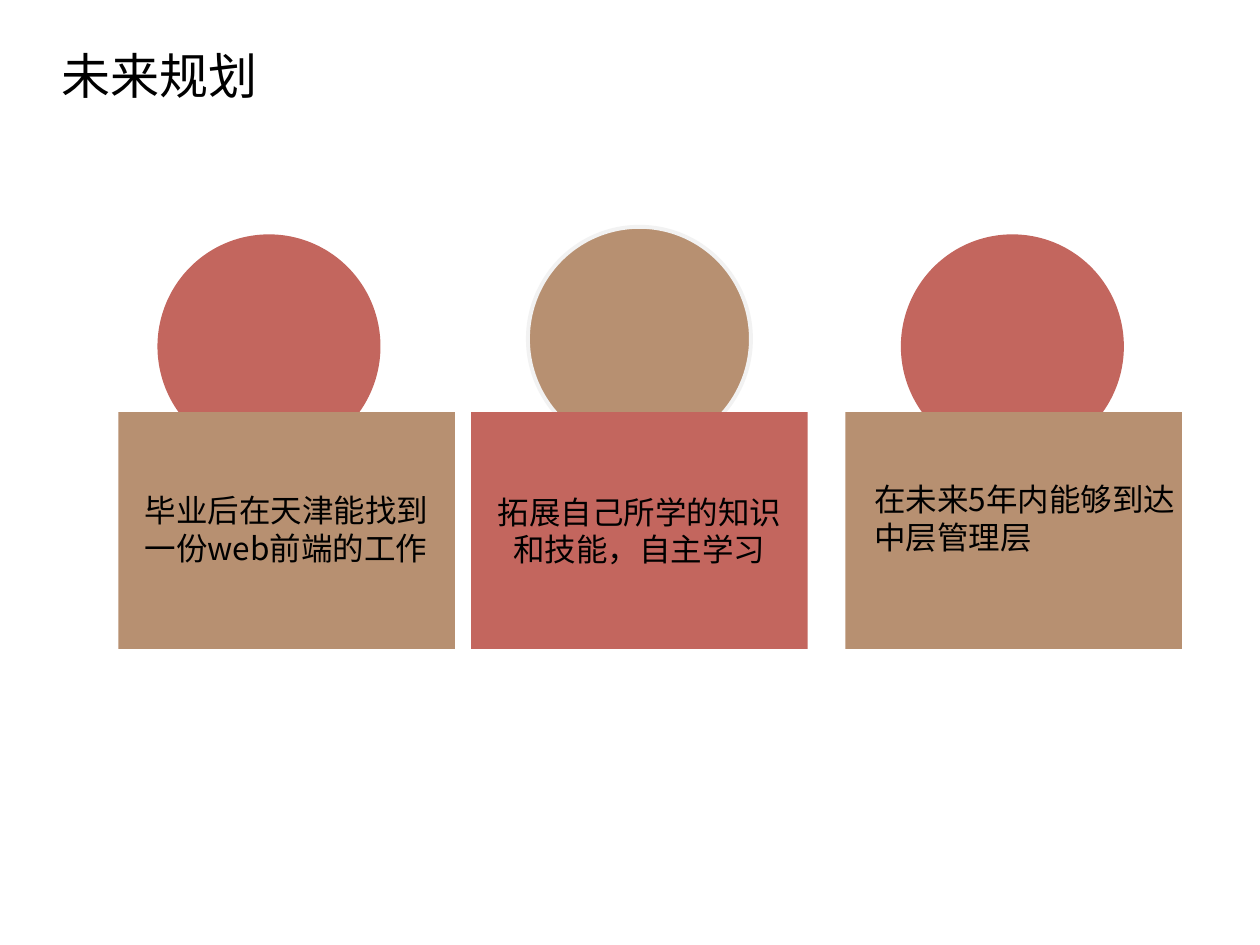
from lxml.etree import SubElement
from pptx import Presentation
from pptx.dml.color import RGBColor
from pptx.enum.shapes import MSO_SHAPE as Shape
from pptx.enum.text import MSO_ANCHOR as Anchor, MSO_AUTO_SIZE as AutoSize, PP_ALIGN as Align
from pptx.oxml.ns import qn
from pptx.util import Inches, Pt

RED, TAN, PALE, BLACK = "C3665E", "B79071", "F2F2F2", "000000"


def color(value):
    return RGBColor.from_string(value)


class PlanSlide:
    """Holds the text style and the page being built."""
    font = "Noto Sans CJK SC"
    body_size = 18
    title_size = 28

    def __init__(self, deck):
        self.page = deck.slides.add_slide(deck.slide_layouts[5])

    def fill_text(self, box, lines, size, align=Align.LEFT, **frame_format):
        frame = box.text_frame
        for name, value in frame_format.items():
            setattr(frame, name, value)
        for index, line in enumerate(lines):
            para = frame.paragraphs[0] if index == 0 else frame.add_paragraph()
            para.alignment = align
            span = para.add_run()
            span.text = line
            span.font.color.rgb = color(BLACK)
            for name, value in {"size": Pt(size), "name": self.font}.items():
                setattr(span.font, name, value)
            # East Asian typeface
            SubElement(span._r.get_or_add_rPr(), qn("a:ea"), typeface=self.font)

    def title(self, text, *area):
        box = self.page.shapes.title
        box.left, box.top, box.width, box.height = map(Inches, area)
        self.fill_text(box, [text], self.title_size, word_wrap=False,
                       auto_size=AutoSize.SHAPE_TO_FIT_TEXT, vertical_anchor=Anchor.TOP)

    def shape(self, kind, area, fill, line=None):
        shape = self.page.shapes.add_shape(kind, *map(Inches, area))
        shape.shadow.inherit = False
        shape.fill.solid()
        shape.fill.fore_color.rgb = color(fill)
        if line:
            shape.line.color.rgb = color(line)
            shape.line.width = Pt(2.25)
        else:
            shape.line.fill.background()
        return shape

    def text(self, lines, *area):
        box = self.page.shapes.add_textbox(*map(Inches, area))
        self.fill_text(box, lines, self.body_size, word_wrap=True,
                       auto_size=AutoSize.SHAPE_TO_FIT_TEXT)


def main():
    deck = Presentation()
    deck.slide_width, deck.slide_height = Inches(10), Inches(7.5)
    plan = PlanSlide(deck)
    plan.title("未来规划", 0.39, 0.31, 1.76, 0.57)

    # Three plans: a circle partly covered by its card
    columns = [
        (1.25, 1.86, RED, None, 0.94, TAN),
        (4.19, 1.8, TAN, PALE, 3.74, RED),
        (7.15, 1.86, RED, None, 6.71, TAN),
    ]
    cards = []
    for circle_left, circle_top, circle_fill, outline, card_left, card_fill in columns:
        plan.shape(Shape.OVAL, (circle_left, circle_top, 1.77, 1.78), circle_fill, outline)
        cards.append(plan.shape(Shape.RECTANGLE, (card_left, 3.27, 2.67, 1.88), card_fill))

    # Card wording
    plan.fill_text(cards[1], ["拓展自己所学的知识", "和技能，自主学习"], plan.body_size,
                   Align.CENTER, word_wrap=True, vertical_anchor=Anchor.MIDDLE)
    plan.text(["在未来5年内能够到达", "中层管理层"], 6.84, 3.76, 2.6, 1.01)
    plan.text(["毕业后在天津能找到", "一份web前端的工作"], 1.05, 3.85, 2.45, 0.71)

    deck.save("out.pptx")


if __name__ == "__main__":
    main()
